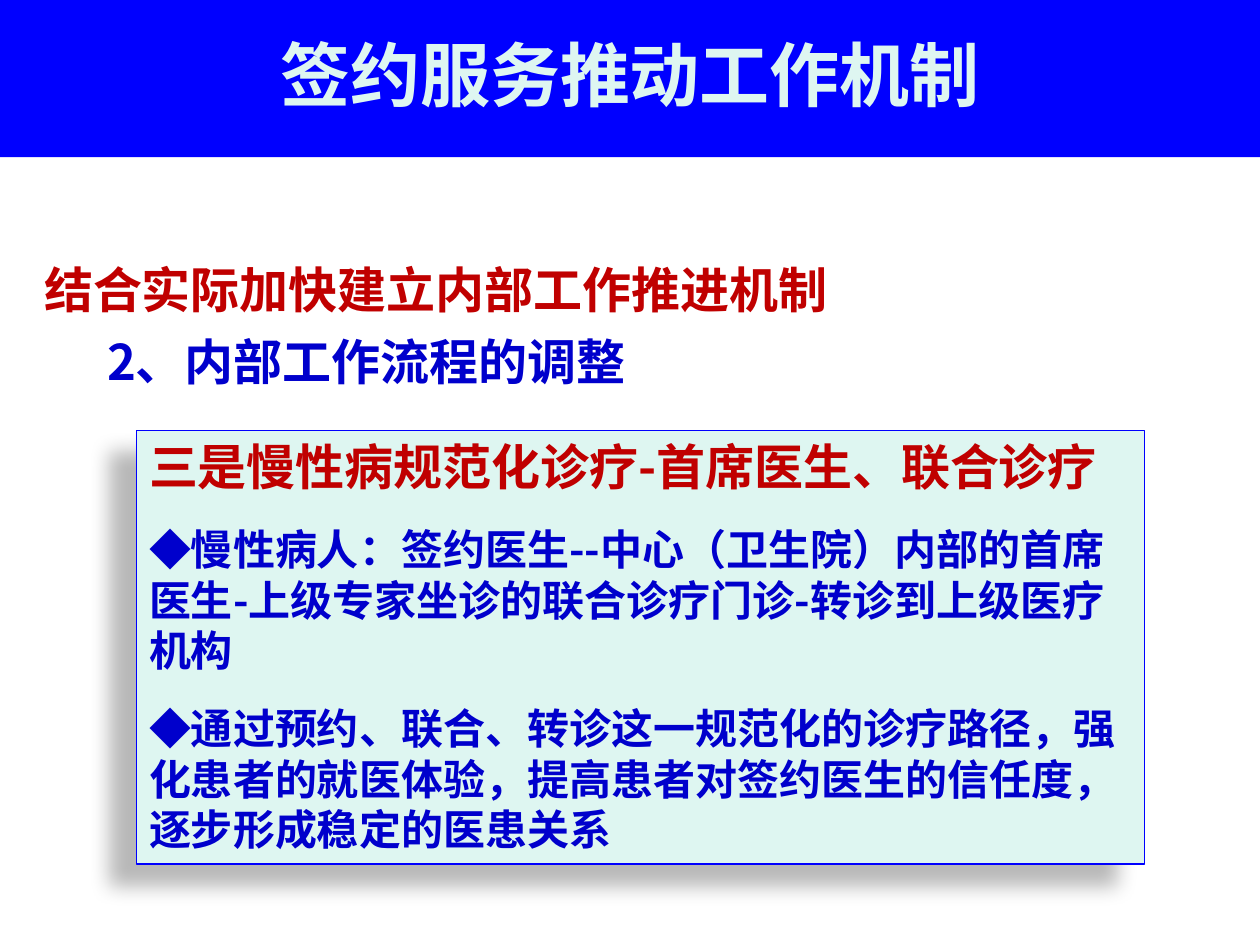
from lxml.etree import SubElement
from pptx import Presentation
from pptx.dml.color import RGBColor
from pptx.enum.text import MSO_ANCHOR, MSO_AUTO_SIZE, PP_ALIGN
from pptx.oxml.ns import qn
from pptx.util import Cm, Pt

FONT = "Noto Sans CJK SC"
COLORS = {
    "banner": "0000FF",
    "pale": "DEF6F1",
    "red": "C00000",
    "navy": "0000CC",
    "shadow": "000000",
}
CARD_TITLE = "三是慢性病规范化诊疗-首席医生、联合诊疗"
CARD_POINTS = [
    "◆慢性病人：签约医生--中心（卫生院）内部的首席医生-上级专家坐诊的联合诊疗门诊-转诊到上级医疗机构",
    "◆通过预约、联合、转诊这一规范化的诊疗路径，强化患者的就医体验，提高患者对签约医生的信任度，逐步形成稳定的医患关系",
]


def rgb(name):
    return RGBColor.from_string(COLORS[name])


def place(shape, left, top, width, height):
    shape.left, shape.top = Cm(left), Cm(top)
    shape.width, shape.height = Cm(width), Cm(height)


def paint(shape, fill):
    shape.fill.solid()
    shape.fill.fore_color.rgb = rgb(fill)


def write(paragraph, text, size, color):
    run = paragraph.add_run()
    run.text = text
    run.font.size = Pt(size)
    run.font.bold = True
    run.font.name = FONT
    run.font.color.rgb = rgb(color)
    SubElement(run.font._element, qn("a:ea"), typeface=FONT)


def remove_bullet(paragraph):
    properties = paragraph._p.get_or_add_pPr()
    properties.set("marL", "0")
    properties.set("indent", "0")
    SubElement(properties, qn("a:buNone"))


def cast_shadow(shape, blur, distance, angle, opacity):
    shape.shadow.inherit = False
    effects = shape._element.spPr.find(qn("a:effectLst"))
    shadow = SubElement(
        effects, qn("a:outerShdw"), blurRad=str(Pt(blur)), dist=str(Pt(distance)),
        dir=str(angle * 60000), algn="ctr", rotWithShape="0",
    )
    color = SubElement(shadow, qn("a:srgbClr"), val=COLORS["shadow"])
    SubElement(color, qn("a:alpha"), val=str(opacity * 1000))


def fill_banner(banner, text):
    place(banner, 0, 0, 25.4, 3.17)
    paint(banner, "banner")
    frame = banner.text_frame
    frame.auto_size = MSO_AUTO_SIZE.NONE
    frame.vertical_anchor = MSO_ANCHOR.MIDDLE
    heading = frame.paragraphs[0]
    heading.alignment = PP_ALIGN.CENTER
    heading.line_spacing = 0.9
    write(heading, text, 40, "pale")


def add_heading(slide, text, color, box, line_spacing=1.0):
    frame = slide.shapes.add_textbox(*map(Cm, box)).text_frame
    frame.word_wrap = True
    heading = frame.paragraphs[0]
    heading.line_spacing = line_spacing
    write(heading, text, 28, color)


def fill_card(card, title, points):
    place(card, 2.75, 8.68, 20.32, 8.74)
    paint(card, "pale")
    card.line.color.rgb = rgb("banner")
    card.line.width = Pt(0.75)
    cast_shadow(card, 11.8, 19.7, 141, 28)
    frame = card.text_frame
    frame.auto_size = MSO_AUTO_SIZE.NONE
    heading = frame.paragraphs[0]
    remove_bullet(heading)
    heading.space_before = Pt(0)
    write(heading, title, 28, "red")
    for text in points:
        point = frame.add_paragraph()
        remove_bullet(point)
        point.space_before = Pt(16)
        write(point, text, 24, "navy")


def main():
    deck = Presentation()
    deck.slide_width, deck.slide_height = Cm(25.4), Cm(19.05)
    slide = deck.slides.add_slide(deck.slide_layouts[1])
    fill_banner(slide.shapes.title, "签约服务推动工作机制")
    add_heading(slide, "结合实际加快建立内部工作推进机制", "red",
                (0.64, 4.45, 19.69, 2.11), 1.55)
    add_heading(slide, "2、内部工作流程的调整", "navy", (1.91, 6.55, 21.79, 1.45))
    fill_card(slide.placeholders[1], CARD_TITLE, CARD_POINTS)
    deck.save("out.pptx")


if __name__ == "__main__":
    main()
